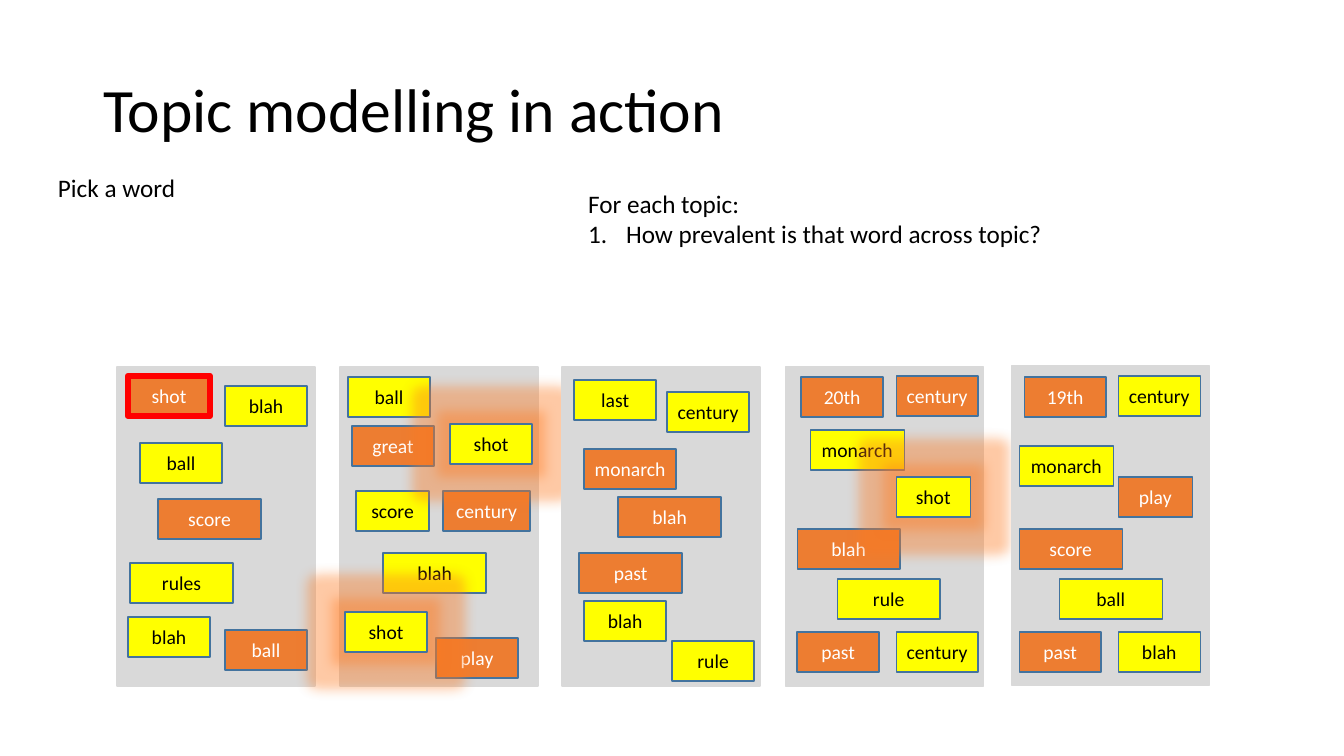
"""Build the slide that picks a word and shows its prevalence across topics."""
from lxml import etree
from pptx import Presentation, util as u
from pptx.dml.color import RGBColor
from pptx.enum import shapes, text
from pptx.oxml import ns

BLACK = RGBColor(0x00, 0x00, 0x00)
WHITE = RGBColor(0xFF, 0xFF, 0xFF)
GREY = RGBColor(0xD9, 0xD9, 0xD9)
ORANGE = RGBColor(0xED, 0x7D, 0x31)
YELLOW = RGBColor(0xFF, 0xFF, 0x00)
BLUE = RGBColor(0x43, 0x73, 0x9E)
RED = RGBColor(0xFF, 0x00, 0x00)
FONT = "Calibri"
PIXEL = 914400 / 100.8
PANEL_WIDTH, PANEL_HEIGHT = 198, 319
WORD_WIDTH, WORD_HEIGHT = 82, 40

TITLE = "Topic modelling in action"
NOTES = [
    ((48, 167, 139, 40), ["Pick a word"], []),
    ((578, 183, 479, 72), ["For each topic:"],
     ["How prevalent is that word across topic?"]),
]
STYLES = {
    "orange": dict(fill=ORANGE, color=WHITE),
    "yellow": dict(fill=YELLOW, color=BLACK),
    "picked": dict(fill=ORANGE, color=WHITE, line=RED, weight=4.5),
    "match": dict(fill=YELLOW, color=BLACK, glow=True),
}
DOCUMENTS = [
    ((117, 367), [
        ("shot", "picked", 128, 376), ("ball", "yellow", 140, 443),
        ("score", "orange", 158, 499, 103), ("rules", "yellow", 130, 563, 103),
        ("ball", "orange", 225, 630), ("blah", "yellow", 225, 386),
        ("blah", "yellow", 128, 617)]),
    ((340, 367), [
        ("ball", "yellow", 348, 377), ("great", "orange", 352, 426),
        ("score", "yellow", 356, 491, 73), ("century", "orange", 443, 491, 87),
        ("blah", "yellow", 383, 553, 103), ("play", "orange", 436, 638),
        ("shot", "match", 450, 424), ("shot", "match", 345, 612)]),
    ((562, 367), [
        ("last", "yellow", 574, 380), ("monarch", "orange", 584, 449, 92),
        ("blah", "orange", 618, 497, 103), ("past", "orange", 579, 553, 103),
        ("rule", "yellow", 672, 641), ("century", "yellow", 667, 392),
        ("blah", "yellow", 584, 601)]),
    ((785, 367), [
        ("20th", "orange", 801, 377), ("monarch", "yellow", 810, 430, 94),
        ("blah", "orange", 797, 529, 103), ("rule", "yellow", 837, 579, 103),
        ("century", "yellow", 896, 632), ("century", "orange", 896, 376),
        ("past", "orange", 797, 632), ("shot", "match", 896, 477, 74)]),
    ((1011, 366), [
        ("19th", "orange", 1024, 377), ("monarch", "yellow", 1019, 446, 94),
        ("score", "orange", 1019, 529, 103), ("ball", "yellow", 1059, 579, 103),
        ("blah", "yellow", 1118, 632), ("century", "yellow", 1118, 376),
        ("past", "orange", 1019, 632), ("play", "orange", 1118, 477, 74)]),
]


def emu(*pixels):
    return [round(value * PIXEL) for value in pixels]


def assign(target, **values):
    for name, value in values.items():
        setattr(target, name, value)


def write(paragraph, words, size, color):
    run = paragraph.add_run()
    assign(run, text=words)
    assign(run.font, name=FONT, size=u.Pt(size))
    run.font.color.rgb = color


def add_box(slide, box, fill, line, weight=1):
    shape = slide.shapes.add_shape(shapes.MSO_SHAPE.RECTANGLE, *emu(*box))
    shape.shadow.inherit = False
    shape.fill.solid()
    shape.fill.fore_color.rgb = fill
    shape.line.color.rgb = line
    shape.line.width = u.Pt(weight)
    return shape


def add_glow(shape):
    effects = shape._element.spPr.find(ns.qn("a:effectLst"))
    glow = etree.SubElement(effects, ns.qn("a:glow"), rad=str(u.Pt(18)))
    color = etree.SubElement(glow, ns.qn("a:srgbClr"), val=str(ORANGE))
    etree.SubElement(color, ns.qn("a:satMod"), val="175000")
    etree.SubElement(color, ns.qn("a:alpha"), val="40000")


def add_word(slide, words, style, left, top, width=WORD_WIDTH):
    look = STYLES[style]
    shape = add_box(slide, (left, top, width, WORD_HEIGHT), look["fill"],
                    look.get("line", BLUE), look.get("weight", 1))
    if look.get("glow"):
        add_glow(shape)
    frame = shape.text_frame
    assign(frame, word_wrap=False, vertical_anchor=text.MSO_ANCHOR.MIDDLE)
    paragraph = frame.paragraphs[0]
    paragraph.alignment = text.PP_ALIGN.CENTER
    write(paragraph, words, 14, look["color"])


def add_note(slide, box, lines, numbered):
    frame = slide.shapes.add_textbox(*emu(*box)).text_frame
    assign(frame, word_wrap=False, auto_size=text.MSO_AUTO_SIZE.SHAPE_TO_FIT_TEXT)
    for index, words in enumerate(lines + numbered):
        paragraph = frame.add_paragraph() if index else frame.paragraphs[0]
        write(paragraph, words, 18, BLACK)
        if index >= len(lines):
            properties = paragraph._p.get_or_add_pPr()
            indent = emu(38)[0]
            properties.set("marL", str(indent))
            properties.set("indent", str(-indent))
            etree.SubElement(properties, ns.qn("a:buAutoNum"), type="arabicPeriod")


def add_title(slide):
    title = slide.shapes.title
    left, top, width, height = emu(93, 40, 1159, 146)
    assign(title, left=left, top=top, width=width, height=height)
    assign(title.text_frame, word_wrap=True, vertical_anchor=text.MSO_ANCHOR.MIDDLE)
    paragraph = title.text_frame.paragraphs[0]
    assign(paragraph, alignment=text.PP_ALIGN.LEFT, line_spacing=0.9)
    write(paragraph, TITLE, 44, BLACK)


presentation = Presentation()
assign(presentation, slide_width=u.Inches(13.33), slide_height=u.Inches(7.5))
slide = presentation.slides.add_slide(presentation.slide_layouts.get_by_name("Title Only"))
add_title(slide)
for corner, words in DOCUMENTS:
    add_box(slide, (*corner, PANEL_WIDTH, PANEL_HEIGHT), GREY, GREY)
    for word in words:
        add_word(slide, *word)
for note in NOTES:
    add_note(slide, *note)
presentation.save("out.pptx")
